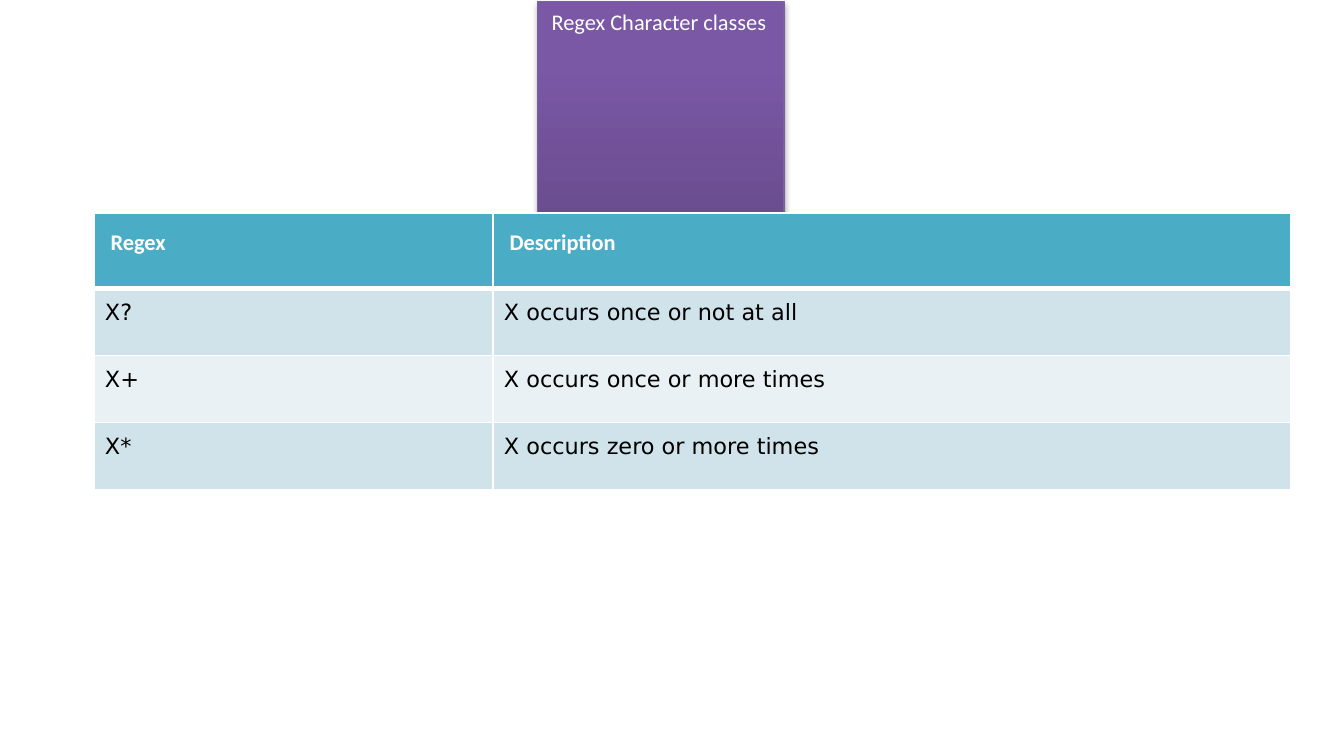
from copy import deepcopy
from dataclasses import dataclass

from lxml.etree import SubElement
from pptx import Presentation
from pptx.dml.color import RGBColor
from pptx.enum.text import MSO_ANCHOR, MSO_AUTO_SIZE, PP_ALIGN
from pptx.oxml.ns import qn
from pptx.util import Emu, Pt


@dataclass(frozen=True)
class Theme:
    head: str = "Calibri"
    body: str = "DejaVu Sans"
    size: int = 12
    white: str = "FFFFFF"
    black: str = "000000"
    teal: str = "4BACC6"
    bands: tuple = ("D0E3EA", "E9F1F5")
    edge: str = "7D60A0"
    grad: tuple = ((0, "5F4480"), (0.8, "7B58A6"), (1, "7C57A8"))


THEME = Theme()
ROWS = [
    ("Regex", "Description"),
    ("X?", "X occurs once or not at all"),
    ("X+", "X occurs once or more times"),
    ("X*", "X occurs zero or more times"),
]


def px(n):
    return Emu(n * 9525)


def rgb(code):
    return RGBColor.from_string(code)


def write(frame, text, face, color, bold=False, align=PP_ALIGN.LEFT):
    para = frame.paragraphs[0]
    para.alignment = align
    run = para.add_run()
    run.text = text
    font = run.font
    font.name, font.size, font.bold = face, Pt(THEME.size), bold
    font.color.rgb = rgb(color)


def inset(item, wide, high):
    item.margin_left = item.margin_right = px(wide)
    item.margin_top = item.margin_bottom = px(high)


def shade(shape):
    fill = shape.fill
    fill.gradient()
    fill.gradient_angle = 90
    stops = shape.element.spPr.find(".//" + qn("a:gsLst"))
    stops.append(deepcopy(stops[0]))
    for stop, (place, color) in zip(fill.gradient_stops, THEME.grad):
        stop.position = place
        stop.color.rgb = rgb(color)


def shadow(shape):
    group = SubElement(shape.element.spPr, qn("a:effectLst"))
    outer = SubElement(group, qn("a:outerShdw"), blurRad=str(Pt(3.1)),
                       dist=str(Pt(1.8)), dir="5400000", rotWithShape="0")
    color = SubElement(outer, qn("a:srgbClr"), val=THEME.black)
    SubElement(color, qn("a:alpha"), val="35000")


def border(cell, top, bottom):
    props = cell._tc.get_or_add_tcPr()
    for side, width in zip("LRTB", (1, 1, top, bottom)):
        line = SubElement(props, qn(f"a:ln{side}"), w=str(Pt(width)))
        fill = SubElement(line, qn("a:solidFill"))
        SubElement(fill, qn("a:srgbClr"), val=THEME.white)


def title(slide, left, top, width, height):
    shape = slide.shapes.title
    shape.left, shape.top = px(left), px(top)
    shape.width, shape.height = px(width), px(height)
    shade(shape)
    shape.line.color.rgb = rgb(THEME.edge)
    shape.line.width = Pt(0.75)
    shadow(shape)
    frame = shape.text_frame
    frame.word_wrap = True
    frame.auto_size = MSO_AUTO_SIZE.SHAPE_TO_FIT_TEXT
    frame.vertical_anchor = MSO_ANCHOR.TOP
    inset(frame, 10, 5)
    write(frame, "Regex Character classes", THEME.head, THEME.white)


def grid(slide, left, top, width, height):
    table = slide.shapes.add_table(
        len(ROWS), 2, px(left), px(top), px(width), px(height)).table
    third = width // 3
    table.columns[0].width = px(third)
    table.columns[1].width = px(width - third)
    body = height * 8 // 33
    for r, texts in enumerate(ROWS):
        first = r == 0
        table.rows[r].height = px(height - 3 * body if first else body)
        for c, text in enumerate(texts):
            cell = table.cell(r, c)
            pad = 12 if first else 8
            inset(cell, pad, pad)
            border(cell, 3 if r == 1 else 1, 3 if first else 1)
            cell.fill.solid()
            color = THEME.teal if first else THEME.bands[(r - 1) % 2]
            cell.fill.fore_color.rgb = rgb(color)
            if first:
                write(cell.text_frame, text, THEME.head, THEME.white, True)
            else:
                write(cell.text_frame, text, THEME.body, THEME.black,
                      align=PP_ALIGN.JUSTIFY)


def main():
    deck = Presentation()
    deck.slide_width, deck.slide_height = px(960), px(528)
    slide = deck.slides.add_slide(deck.slide_layouts[5])
    title(slide, 384, 1, 176, 29)
    grid(slide, 67, 152, 855, 198)
    deck.save("out.pptx")


if __name__ == "__main__":
    main()
